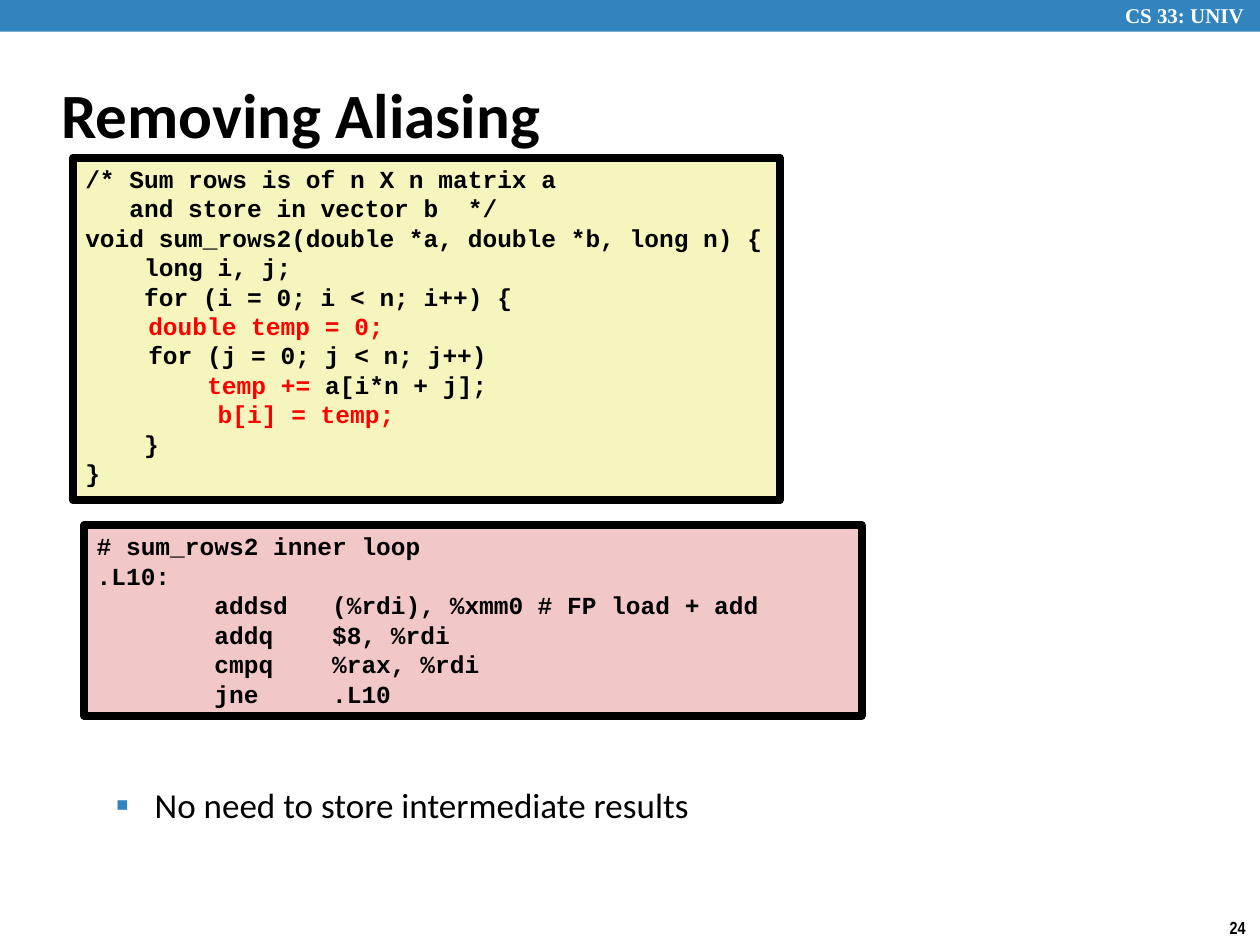
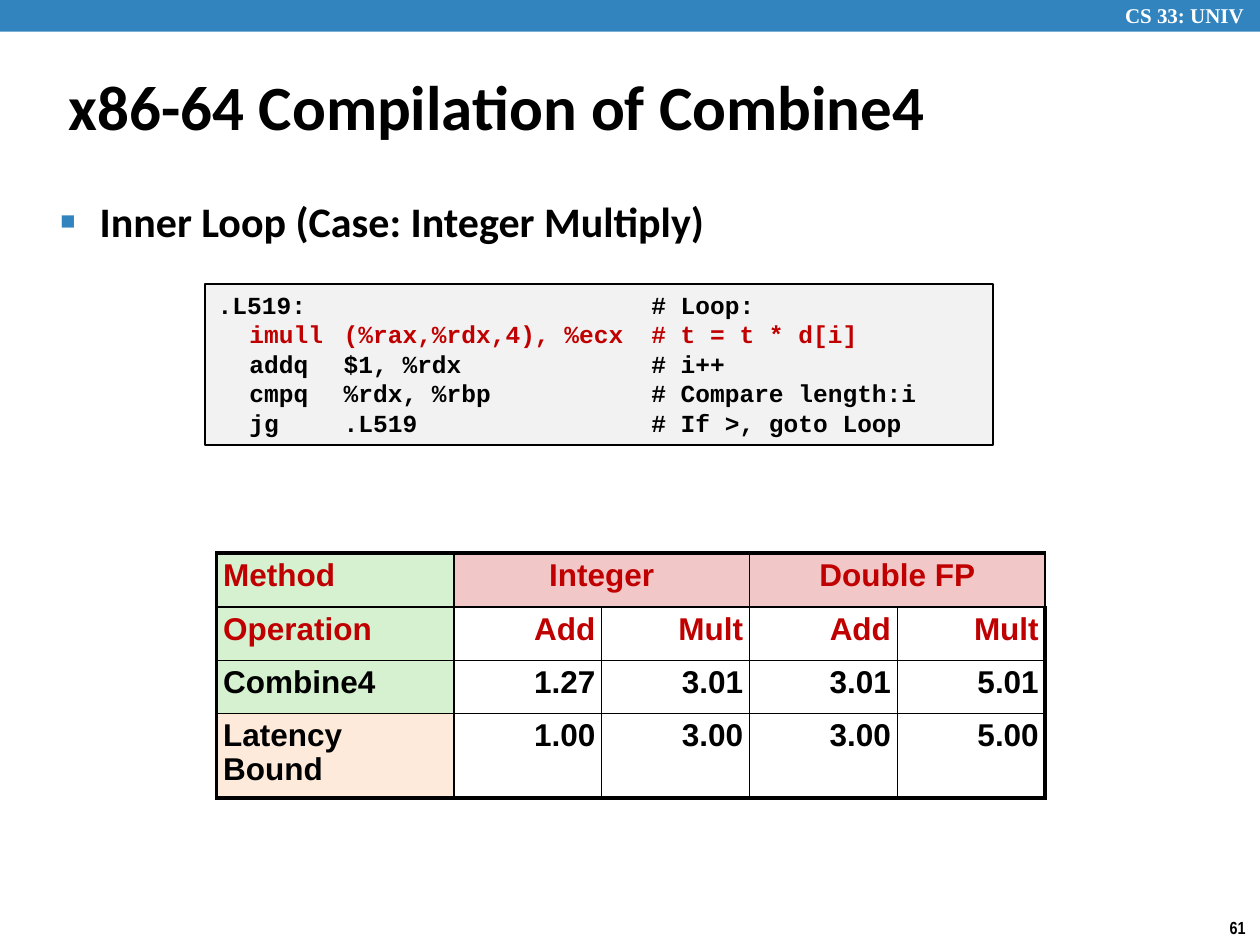
from pptx import Presentation
from pptx.dml.color import RGBColor
from pptx.enum.shapes import MSO_SHAPE
from pptx.enum.text import MSO_ANCHOR, PP_ALIGN
from pptx.oxml import parse_xml
from pptx.oxml.ns import nsdecls
from pptx.util import Cm, Pt

BLUE, BLACK, WHITE = "3284BF", "000000", "FFFFFF"
RED, DARK_RED = "FF0000", "C00000"
YELLOW, PINK, GREY = "F6F5BD", "F1C7C7", "F2F2F2"
GREEN, PEACH = "D5F1CF", "FDEADA"
COURSE = "CS 33: UNIV"

# In code, the text between two bars is set in the accent colour.
SUM_ROWS = [
    "/* Sum rows is of n X n matrix a",
    "   and store in vector b  */",
    "void sum_rows2(double *a, double *b, long n) {",
    "    long i, j;",
    "    for (i = 0; i < n; i++) {",
    "|\tdouble temp = 0;|",
    "\tfor (j = 0; j < n; j++)",
    "\t    |temp += |a[i*n + j];",
    "|         b[i] = temp;|",
    "    }",
    "}",
]
SUM_ROWS_LOOP = [
    "# sum_rows2 inner loop",
    ".L10:",
    "        addsd   (%rdi), %xmm0\t# FP load + add",
    "        addq    $8, %rdi",
    "        cmpq    %rax, %rdi",
    "        jne     .L10",
]
COMBINE_LOOP = [
    ".L519:\t\t# Loop:",
    "\t|imull\t(%rax,%rdx,4), %ecx\t# t = t * d[i]|",
    "\taddq\t$1, %rdx\t# i++",
    "\tcmpq\t%rdx, %rbp\t# Compare length:i",
    "\tjg\t.L519\t# If >, goto Loop",
]
LOOP_TABS = (0.64, 2.54, 8.74)

TIMINGS = [
    ["Method", "Integer", "", "Double FP", ""],
    ["Operation", "Add", "Mult", "Add", "Mult"],
    ["Combine4", "1.27", "3.01", "3.01", "5.01"],
    ["Latency Bound", "1.00", "3.00", "3.00", "5.00"],
]
LABEL_FILLS = [GREEN, GREEN, GREEN, PEACH]
COL_WIDTHS = [4.78] + [2.98] * 4
ROW_HEIGHTS = [1.09, 1.07, 1.07, 1.7]


def rgb(color):
    return RGBColor.from_string(color)


def style(p, font, size, color=BLACK, bold=True):
    for r in p.runs:
        r.font.name, r.font.size, r.font.bold = font, Pt(size), bold
        r.font.color.rgb = rgb(color)


def add_text(s, box, text, font, size, color=BLACK, bold=True, wrap=True):
    tf = s.shapes.add_textbox(*map(Cm, box)).text_frame
    tf.word_wrap = wrap
    tf.text = text
    style(tf.paragraphs[0], font, size, color, bold)
    return tf


def add_rect(s, box, fill, line=None, width=0):
    sp = s.shapes.add_shape(MSO_SHAPE.RECTANGLE, *map(Cm, box))
    sp.shadow.inherit = False
    sp.fill.solid()
    sp.fill.fore_color.rgb = rgb(fill)
    if line:
        sp.line.color.rgb = rgb(line)
        sp.line.width = Pt(width)
    else:
        sp.line.fill.background()
    return sp


def add_page(prs, number, title, left, top):
    """Add a slide with the blue band, course name, page number and title."""
    s = prs.slides.add_slide(prs.slide_layouts[6])
    add_rect(s, (0, 0, 25.4, 0.64), BLUE)
    add_text(s, (22.43, -0.08, 3.15, 0.76), COURSE, "Times New Roman", 12, WHITE)
    add_text(s, (24.54, 18.36, 0.86, 0.69), str(number), "Arial Narrow", 10, wrap=False)
    tf = add_text(s, (left, top, 21.08, 2.11), title, "Calibri", 36)
    tf.vertical_anchor = MSO_ANCHOR.MIDDLE
    return s


def add_bullet(s, box, text, size, bold, char, percent, margin):
    tf = add_text(s, box, text, "Calibri", size, bold=bold)
    pPr = tf.paragraphs[0]._p.get_or_add_pPr()
    pPr.set("marL", str(Cm(margin)))
    pPr.set("indent", str(-Cm(0.79)))
    for xml in (
        f'<a:buClr {nsdecls("a")}><a:srgbClr val="{BLUE}"/></a:buClr>',
        f'<a:buSzPct {nsdecls("a")} val="{percent * 1000}"/>',
        f'<a:buFont {nsdecls("a")} typeface="Arial"/>',
        f'<a:buChar {nsdecls("a")} char="{char}"/>',
    ):
        pPr.append(parse_xml(xml))


def add_code(s, box, lines, fill, border, accent=RED, tabs=(), wrap=True):
    tf = add_rect(s, box, fill, BLACK, border).text_frame
    tf.word_wrap = wrap
    tf.vertical_anchor = MSO_ANCHOR.TOP
    for i, line in enumerate(lines):
        p = tf.add_paragraph() if i else tf.paragraphs[0]
        p.alignment = PP_ALIGN.LEFT
        for k, part in enumerate(line.split("|")):
            if part:
                r = p.add_run()
                r.text = part
                r.font.name, r.font.size, r.font.bold = "Courier New", Pt(14), True
                r.font.color.rgb = rgb(accent if k % 2 else BLACK)
        if tabs:
            stops = "".join(f'<a:tab pos="{Cm(t)}" algn="l"/>' for t in tabs)
            p._p.get_or_add_pPr().append(
                parse_xml(f'<a:tabLst {nsdecls("a")}>{stops}</a:tabLst>'))


def add_borders(cell, row, col, last_row, last_col):
    """Draw thick lines on the table's outer edge and thin ones inside."""
    outer = {"L": col == 0, "R": col == last_col, "T": row == 0, "B": row == last_row}
    tcPr = cell._tc.get_or_add_tcPr()
    for side, thick in outer.items():
        tcPr.append(parse_xml(
            f'<a:ln{side} {nsdecls("a")} w="{Pt(2.25 if thick else 1)}"><a:solidFill>'
            f'<a:srgbClr val="{BLACK}"/></a:solidFill></a:ln{side}>'))


def add_timings(s, left, top):
    n_rows, n_cols = len(TIMINGS), len(COL_WIDTHS)
    size = sum(COL_WIDTHS), sum(ROW_HEIGHTS)
    table = s.shapes.add_table(n_rows, n_cols, *map(Cm, (left, top, *size))).table
    table.first_row = table.horz_banding = False
    for column, width in zip(table.columns, COL_WIDTHS):
        column.width = Cm(width)
    for row, height in zip(table.rows, ROW_HEIGHTS):
        row.height = Cm(height)
    for col in (1, 3):
        table.cell(0, col).merge(table.cell(0, col + 1))
    for i, values in enumerate(TIMINGS):
        for j, value in enumerate(values):
            cell = table.cell(i, j)
            add_borders(cell, i, j, n_rows - 1, n_cols - 1)
            fill = LABEL_FILLS[i] if j == 0 else PINK if i == 0 else None
            if fill:
                cell.fill.solid()
                cell.fill.fore_color.rgb = rgb(fill)
            else:
                cell.fill.background()
            cell.margin_left = cell.margin_right = Cm(0.13)
            cell.margin_top = cell.margin_bottom = Cm(0.13)
            if value:
                cell.text_frame.text = value
                p = cell.text_frame.paragraphs[0]
                p.line_spacing = 0.95
                p.alignment = (PP_ALIGN.LEFT if j == 0 else
                               PP_ALIGN.CENTER if i == 0 else PP_ALIGN.RIGHT)
                style(p, "Arial", 18, DARK_RED if i < 2 else BLACK)


def main():
    prs = Presentation()
    prs.slide_width, prs.slide_height = Cm(25.4), Cm(19.05)

    s = add_page(prs, 24, "Removing Aliasing", 0.99, 1.22)
    add_bullet(s, (0.81, 15.67, 23.09, 2.24), "No need to store intermediate results",
               20, False, "▪", 110, 2.06)
    add_code(s, (1.7, 10.59, 15.67, 3.84), SUM_ROWS_LOOP, PINK, 4.5)
    add_code(s, (1.47, 3.18, 14.25, 6.91), SUM_ROWS, YELLOW, 4.5, wrap=False)

    s = add_page(prs, 61, "x86-64 Compilation of Combine4", 1.14, 1.07)
    add_bullet(s, (0.97, 3.81, 22.94, 1.9), "Inner Loop (Case: Integer Multiply)",
               24, True, "■", 60, 0.79)
    add_code(s, (4.14, 5.72, 15.88, 3.25), COMBINE_LOOP, GREY, 1, DARK_RED, LOOP_TABS)
    add_timings(s, 4.37, 11.15)

    prs.save("out.pptx")


if __name__ == "__main__":
    main()
